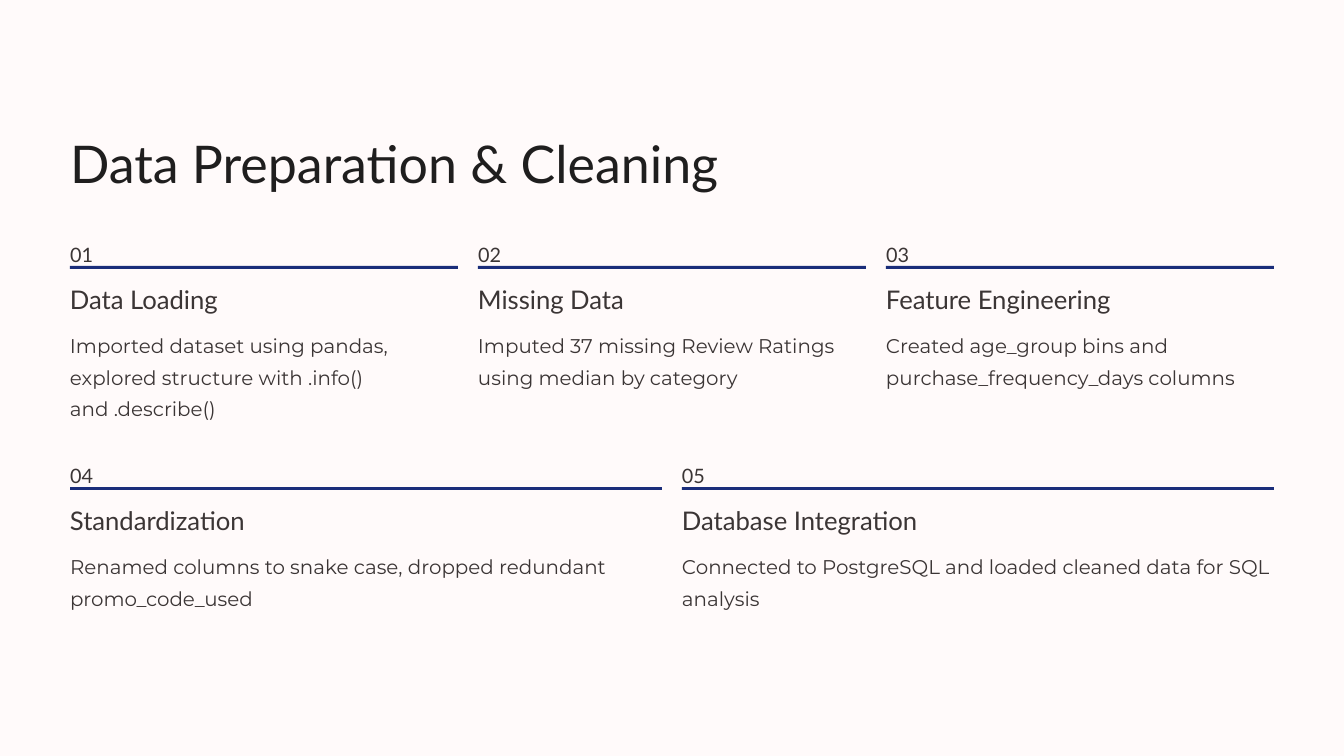
from pptx import Presentation
from pptx.dml.color import RGBColor
from pptx.enum.shapes import MSO_SHAPE
from pptx.enum.text import MSO_ANCHOR, MSO_AUTO_SIZE, PP_ALIGN
from pptx.util import Pt

PX = 914400 / 84
COLORS = {"background": "FFFAFA", "title": "1F1E1E", "text": "3B3535", "rule": "1A2D7A"}
FRAME = {"margin_left": 0, "margin_top": 0, "margin_right": 0, "margin_bottom": 0,
         "auto_size": MSO_AUTO_SIZE.NONE, "vertical_anchor": MSO_ANCHOR.TOP}
STYLES = {
    "title": {"name": "Lato", "size": Pt(44.5), "spacing": 56, "color": "title", "wrap": False},
    "number": {"name": "Lato", "size": Pt(17), "spacing": 27, "color": "text", "wrap": False},
    "heading": {"name": "Lato", "size": Pt(22), "spacing": 28, "color": "text", "wrap": False},
    "body": {"name": "Montserrat", "size": Pt(17), "spacing": 27, "color": "text", "wrap": True},
}
LEFT, CONTENT_WIDTH, GAP = 70, 1204, 20
ROWS = [
    (235, [
        ("Data Loading", 262, 96,
         "Imported dataset using pandas, explored structure with .info() and .describe()"),
        ("Missing Data", 262, 64, "Imputed 37 missing Review Ratings using median by category"),
        ("Feature Engineering", 270, 64,
         "Created age_group bins and purchase_frequency_days columns"),
    ]),
    (456, [
        ("Standardization", 262, 64,
         "Renamed columns to snake case, dropped redundant promo_code_used"),
        ("Database Integration", 281, 64,
         "Connected to PostgreSQL and loaded cleaned data for SQL analysis"),
    ]),
]


def px(*lengths):
    return [round(length * PX) for length in lengths]


def write(shape, text, style_name):
    style = STYLES[style_name]
    frame = shape.text_frame
    for key, value in FRAME.items():
        setattr(frame, key, value)
    frame.word_wrap = style["wrap"]
    paragraph = frame.paragraphs[0]
    paragraph.alignment = PP_ALIGN.LEFT
    paragraph.line_spacing = Pt(style["spacing"])
    run = paragraph.add_run()
    run.text = text
    for key in ("name", "size"):
        setattr(run.font, key, style[key])
    run.font.color.rgb = RGBColor.from_string(COLORS[style["color"]])


presentation = Presentation()
presentation.slide_width, presentation.slide_height = px(1344, 756)
slide = presentation.slides.add_slide(presentation.slide_layouts[5])
slide.background.fill.solid()
slide.background.fill.fore_color.rgb = RGBColor.from_string(COLORS["background"])

title = slide.shapes.title
title.left, title.top, title.width, title.height = px(LEFT, 129, 752, 66)
write(title, "Data Preparation & Cleaning", "title")

number = 0
for top, steps in ROWS:
    width = (CONTENT_WIDTH - GAP * (len(steps) - 1)) // len(steps)
    for column, (heading, heading_width, body_height, body) in enumerate(steps):
        number += 1
        left = LEFT + column * (width + GAP)
        rule = slide.shapes.add_shape(MSO_SHAPE.RECTANGLE, *px(left, top + 31, width, 3))
        rule.shadow.inherit = False
        rule.fill.solid()
        rule.fill.fore_color.rgb = RGBColor.from_string(COLORS["rule"])
        rule.line.fill.background()
        for style_name, text, offset, box_width, height in (
            ("number", f"{number:02d}", 0, 20, 25),
            ("heading", heading, 47, heading_width, 33),
            ("body", body, 91, width, body_height),
        ):
            box = slide.shapes.add_textbox(*px(left, top + offset, box_width, height))
            write(box, text, style_name)

presentation.save("out.pptx")
